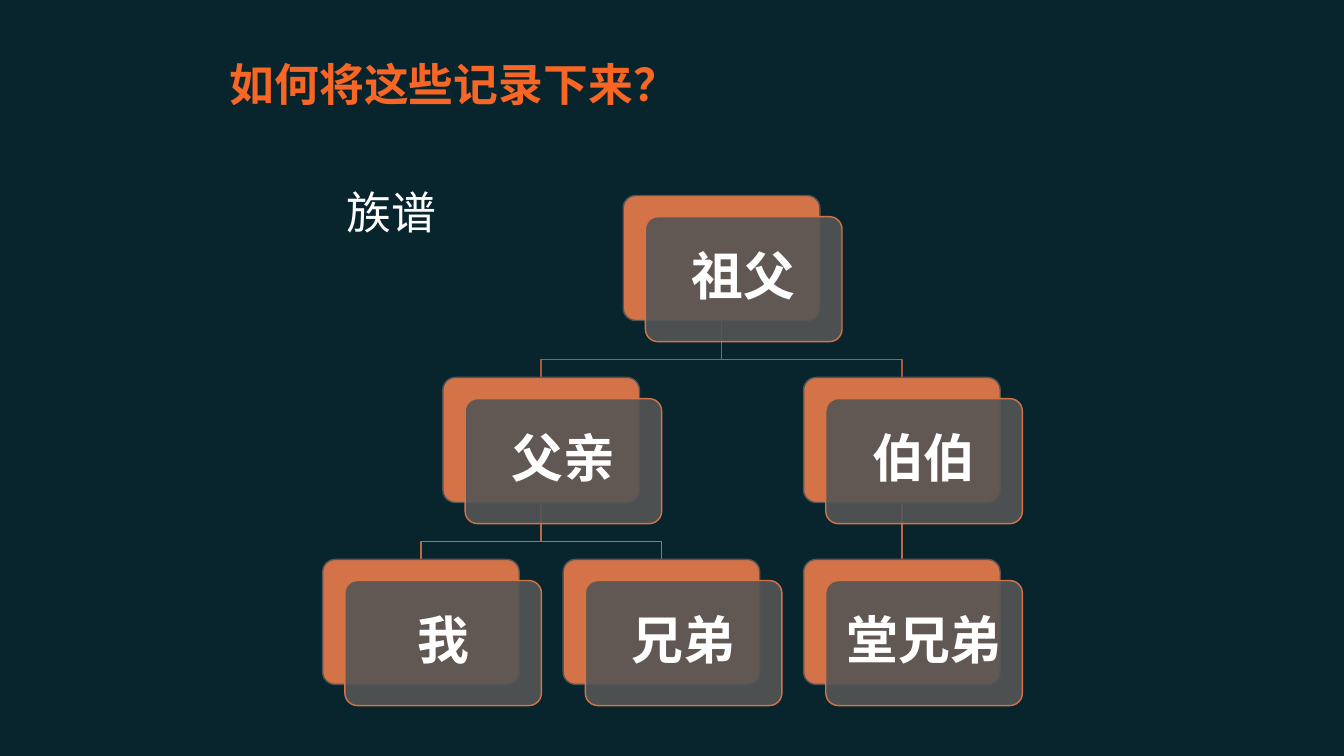
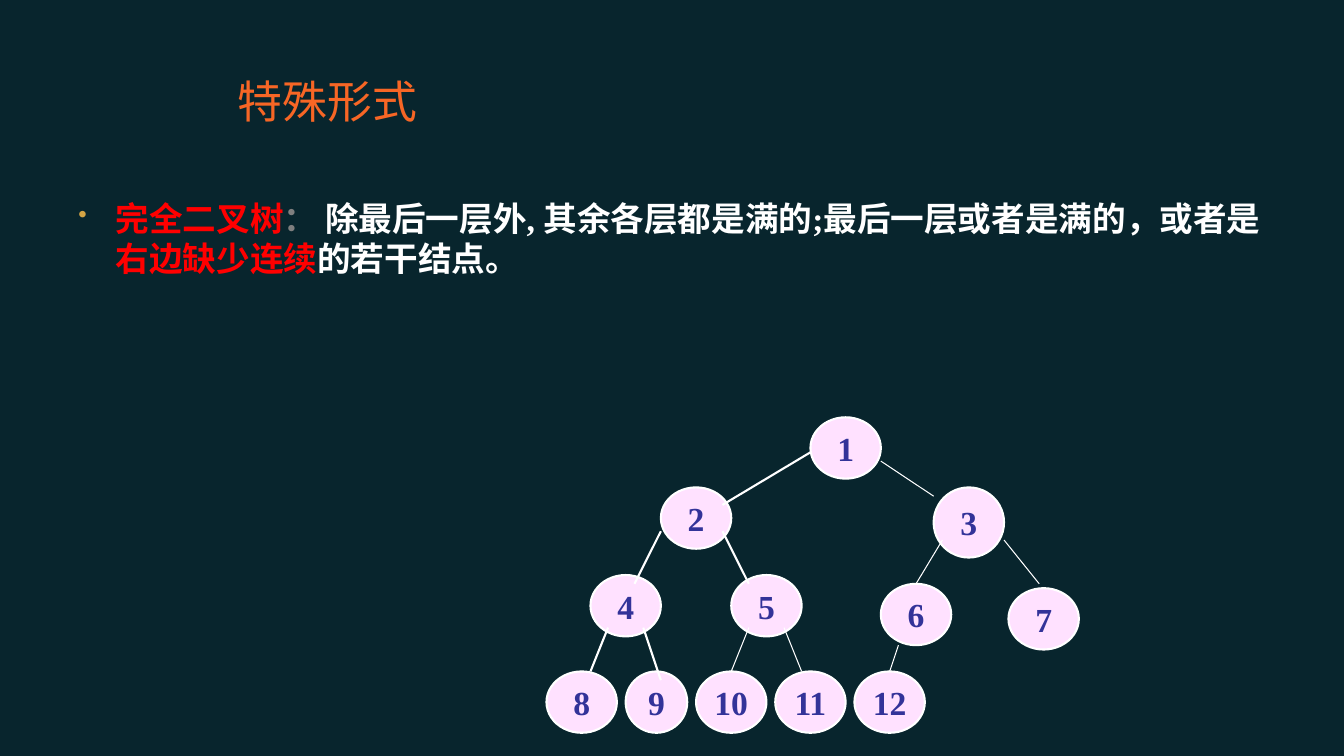
from pptx import Presentation
from pptx.dml.color import RGBColor
from pptx.enum.shapes import MSO_CONNECTOR as Connector, MSO_SHAPE as Shape
from pptx.enum.text import MSO_ANCHOR as Anchor, PP_ALIGN as Align
from pptx.oxml import parse_xml
from pptx.oxml.ns import nsdecls, qn
from pptx.util import Inches, Pt

NIGHT, ORANGE, WHITE, RED = "08252D", "F76625", "FFFFFF", "FF0000"
COPPER, GREY, PINK, INDIGO = "D47348", "555555", "FFE1FF", "333399"
MUTED, GOLD = "7F7F7F", "D4A444"
SANS, SERIF = "Calibri", "Times New Roman"

CARD_SIZE = (1.95, 1.24)
CARD_SHIFT = (0.22, 0.21)
FAMILY = {
    "祖父": (2.5, 0), "父亲": (1, 1), "伯伯": (4, 1),
    "我": (0, 2), "兄弟": (2, 2), "堂兄弟": (4, 2),
}
DESCENT = [("父亲", "兄弟"), ("父亲", "我"), ("祖父", "伯伯"), ("祖父", "父亲")]
DESCENT_COLOURS = ["AA5C3A", "C06841"]

TREE_GRID = (60.5, 36)
NODES = {
    1: (30, 0, 8, 7), 2: (13, 8, 8, 7), 3: (44, 8, 8, 8),
    4: (5, 18, 8, 7), 5: (21, 18, 8, 7), 6: (38, 19, 8, 7), 7: (52.5, 19.5, 8, 7),
    8: (0, 29, 8, 7), 9: (9, 29, 7, 7), 10: (17, 29, 8, 7),
    11: (26, 29, 8, 7), 12: (35, 29, 8, 7),
}
EDGES = {
    1.5: [(30, 4, 20, 10), (13, 13, 10, 19), (20, 13, 23, 19),
          (7, 24, 5, 29), (11, 24, 13, 30)],
    0.75: [(45, 14, 42, 19), (38, 5, 44, 9), (52, 14, 56, 19),
           (23, 24, 21, 29), (27, 24, 29, 29), (40, 26, 39, 29)],
}


def colour(value):
    """Turn a hex string into a colour."""
    return RGBColor.from_string(value)


def style_span(span, size, font, ink, bold=False):
    """Format one run of text."""
    span.font.size, span.font.name, span.font.bold = Pt(size), font, bold
    span.font.color.rgb = colour(ink)


def style_line(line, ink, width):
    """Set the colour and width of a line."""
    line.color.rgb = colour(ink)
    line.width = Pt(width)


def add_label(page, box, text, ink, bold=False):
    """Add a one-line heading, centred vertically in its box."""
    frame = page.shapes.add_textbox(*map(Inches, box)).text_frame
    frame.word_wrap = True
    frame.vertical_anchor = Anchor.MIDDLE
    frame.text = text
    style_span(frame.paragraphs[0].runs[0], 32, SANS, ink, bold)


def add_figure(page, kind, box, fill, line, width):
    """Add a filled and outlined preset shape."""
    figure = page.shapes.add_shape(kind, *map(Inches, box))
    figure.shadow.inherit = False
    figure.fill.solid()
    figure.fill.fore_color.rgb = colour(fill)
    style_line(figure.line, line, width)
    return figure


def write_centre(figure, text, size, font, ink):
    """Write bold text in the middle of a shape."""
    frame = figure.text_frame
    frame.word_wrap = False
    frame.vertical_anchor = Anchor.MIDDLE
    frame.text = text
    para = frame.paragraphs[0]
    para.alignment = Align.CENTER
    style_span(para.runs[0], size, font, ink, True)
    return para


def add_line(page, start, end, ink, width):
    """Add a straight line without a shadow."""
    line = page.shapes.add_connector(
        Connector.STRAIGHT, *map(Inches, (*start, *end)))
    line._element.spPr.append(parse_xml(f"<a:effectLst {nsdecls('a')}/>"))
    style_line(line.line, ink, width)
    return line


def add_elbow(page, start, end, ink):
    """Add a bent line from a parent down to a child."""
    bend = end[1] - 0.18
    points = [start, (start[0], bend), (end[0], bend), end]
    corners = [tuple(map(Inches, point)) for point in points]
    builder = page.shapes.build_freeform(*corners[0], scale=1.0)
    builder.add_line_segments(corners[1:], close=False)
    elbow = builder.convert_to_shape()
    elbow.shadow.inherit = False
    elbow.fill.background()
    style_line(elbow.line, ink, 1)


def add_card(page, left, top, name):
    """Add a copper card with a translucent name card over it."""
    back = add_figure(page, Shape.ROUNDED_RECTANGLE,
                      (left, top, *CARD_SIZE), COPPER, GREY, 1)
    front_box = (left + CARD_SHIFT[0], top + CARD_SHIFT[1], *CARD_SIZE)
    front = add_figure(page, Shape.ROUNDED_RECTANGLE, front_box, GREY, COPPER, 1)
    for card in (back, front):
        card.adjustments[0] = 0.1
    tint = front._element.spPr.find(qn("a:solidFill"))[0]
    tint.append(parse_xml(f'<a:alpha {nsdecls("a")} val="90000"/>'))
    write_centre(front, name, 37, SANS, WHITE).line_spacing = 0.9
    return back


def add_family(page, box):
    """Draw the family chart with three generations."""
    left, top, width, height = box
    column = (width - CARD_SIZE[0] - CARD_SHIFT[0]) / 4
    row = (height - CARD_SIZE[1] - CARD_SHIFT[1]) / 2
    places = {name: (left + across * column, top + down * row)
              for name, (across, down) in FAMILY.items()}

    def ends(parent, child):
        """Return the bottom of the parent and the top of the child."""
        (start_x, start_y), (end_x, end_y) = places[parent], places[child]
        half = CARD_SIZE[0] / 2
        return (start_x + half, start_y + CARD_SIZE[1]), (end_x + half, end_y)

    straight = add_line(page, *ends("伯伯", "堂兄弟"), DESCENT_COLOURS[1], 1)
    for parent, child in DESCENT:
        add_elbow(page, *ends(parent, child), DESCENT_COLOURS[FAMILY[parent][1]])
    cards = {name: add_card(page, *place, name) for name, place in places.items()}
    straight.begin_connect(cards["伯伯"], 2)
    straight.end_connect(cards["堂兄弟"], 0)


def add_definition(page, box, spans):
    """Add a bulleted paragraph with coloured runs."""
    frame = page.shapes.add_textbox(*map(Inches, box)).text_frame
    frame.word_wrap = True
    para = frame.paragraphs[0]
    props = para._p.get_or_add_pPr()
    props.set("marL", str(Inches(0.37)))
    props.set("indent", str(-Inches(0.37)))
    for bullet in (f'<a:buClr {nsdecls("a")}><a:srgbClr val="{GOLD}"/></a:buClr>',
                   f'<a:buSzPct {nsdecls("a")} val="75000"/>',
                   f'<a:buChar {nsdecls("a")} char="•"/>'):
        props.append(parse_xml(bullet))
    for text, ink in spans:
        span = para.add_run()
        span.text = text
        style_span(span, 24, SERIF, ink, True)


def add_binary_tree(page, box):
    """Draw the numbered nodes and the edges on a grid."""
    left, top, width, height = box
    column, row = width / TREE_GRID[0], height / TREE_GRID[1]

    def at(across, down):
        """Turn grid steps into a point on the slide."""
        return left + across * column, top + down * row

    for number, (across, down, wide, high) in NODES.items():
        node_box = (*at(across, down), wide * column, high * row)
        node = add_figure(page, Shape.OVAL, node_box, PINK, WHITE, 1.5)
        write_centre(node, str(number), 24, SERIF, INDIGO)
    for weight, edges in EDGES.items():
        for edge in edges:
            add_line(page, at(*edge[:2]), at(*edge[2:]), WHITE, weight)


def build_family_page(page):
    """Fill the slide about the family record."""
    add_label(page, (3.34, 1.55, 2.6, 1.1), "族谱", WHITE)
    add_family(page, (3.2, 1.94, 6.94, 5.06))
    add_label(page, (2.18, 0.28, 9, 1.1), "如何将这些记录下来？", ORANGE, True)


def build_tree_page(page):
    """Fill the slide about complete binary trees."""
    add_label(page, (2.26, 0.6, 7.95, 0.79), "特殊形式", ORANGE)
    add_definition(page, (0.68, 1.91, 12, 1.2), [
        ("完全二叉树", RED),
        ("： ", MUTED),
        ("除最后一层外, 其余各层都是满的;最后一层或者是满的，或者是", WHITE),
        ("右边缺少连续", RED),
        ("的若干结点。", WHITE),
    ])
    add_binary_tree(page, (5.42, 4.14, 5.28, 3.13))


def main():
    """Build and save the deck."""
    deck = Presentation()
    deck.slide_width, deck.slide_height = Inches(13.33), Inches(7.5)
    backdrop = deck.slide_master.background.fill
    backdrop.solid()
    backdrop.fore_color.rgb = colour(NIGHT)
    for build in (build_family_page, build_tree_page):
        build(deck.slides.add_slide(deck.slide_layouts[6]))
    deck.save("out.pptx")


if __name__ == "__main__":
    main()
